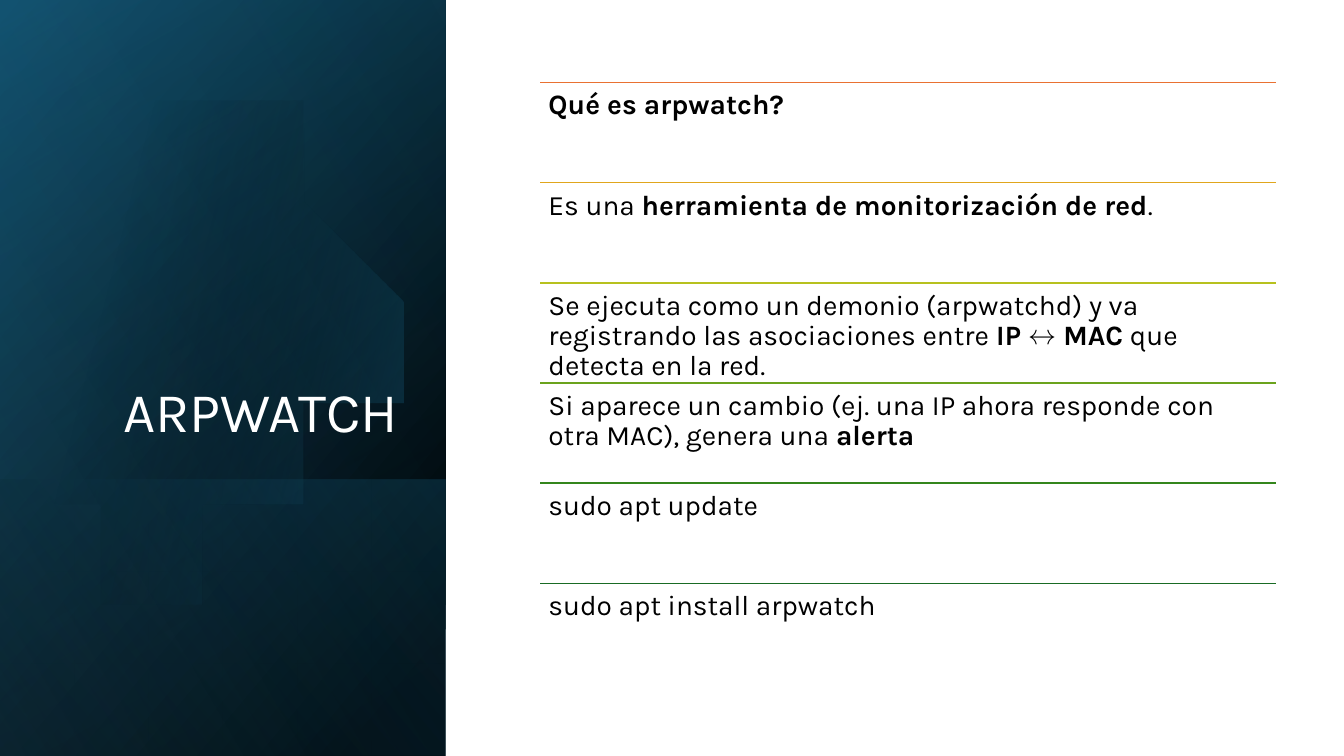
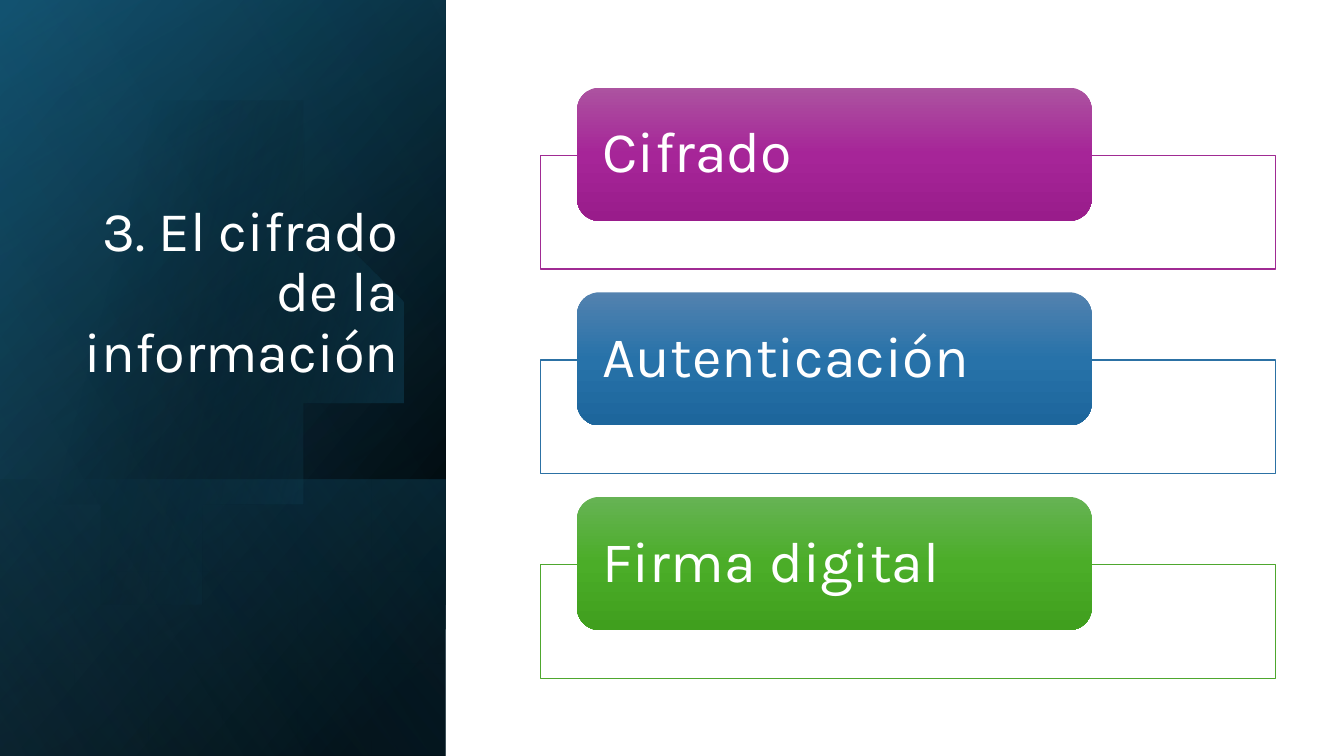
from lxml import etree
from pptx import Presentation
from pptx.dml.color import RGBColor
from pptx.enum.shapes import MSO_CONNECTOR, MSO_SHAPE
from pptx.enum.text import MSO_ANCHOR, PP_ALIGN
from pptx.oxml.ns import qn
from pptx.util import Inches, Pt

RECT = MSO_SHAPE.RECTANGLE
ROUNDED = MSO_SHAPE.ROUNDED_RECTANGLE
STRAIGHT = MSO_CONNECTOR.STRAIGHT
TOP, MIDDLE, BOTTOM = MSO_ANCHOR.TOP, MSO_ANCHOR.MIDDLE, MSO_ANCHOR.BOTTOM
LEFT, RIGHT = PP_ALIGN.LEFT, PP_ALIGN.RIGHT

FONT = "Karla"
WHITE, BLACK = "FFFFFF", "000000"
TEAL, NAVY, SKY = "156082", "104862", "46B1E1"
PANEL = (0, 0, 4.42, 7.5)
LINE_HEIGHT = 0.6

DISC_START = (1.49, 1.1)
DISC_SEGMENTS = [
    [(2.46, 1.12), (3.35, 1.77), (3.63, 2.75)],
    [(3.98, 3.97), (3.28, 5.23), (2.07, 5.58)],
    [(1.31, 5.8), (0.53, 5.61), (-0.03, 5.14)],
    [(-0.15, 5.03)],
    [(-0.15, 1.75)],
    [(0, 1.61)],
    [(0.23, 1.42), (0.5, 1.28), (0.8, 1.19)],
    [(1.03, 1.13), (1.26, 1.1), (1.49, 1.1)],
]

ROWS = [
    ("E97132", [("Qué es arpwatch?", True)]),
    ("E0A61D", [("Es una ", False),
                ("herramienta de monitorización de red", True), (".", False)]),
    ("B7C11E", [("Se ejecuta como un demonio (arpwatchd) y va registrando "
                 "las asociaciones entre ", False),
                ("IP ↔ MAC", True), (" que detecta en la red.", False)]),
    ("6BA31D", [("Si aparece un cambio (ej. una IP ahora responde con otra MAC), "
                 "genera una ", False), ("alerta", True)]),
    ("34861C", [("sudo apt update", False)]),
    ("196B24", [("sudo apt install arpwatch", False)]),
]

CARDS = [
    ("Cifrado", "A02B93", ("AC53A0", "A62598", "991C8B")),
    ("Autenticación", "2C71A4", ("5382AF", "2772A9", "1D669C")),
    ("Firma digital", "4EA72E", ("66B354", "4BAD28", "409F1E")),
]


def rgb(color):
    return RGBColor.from_string(color)


def inches(*values):
    return [Inches(v) for v in values]


def set_alpha(color_element, percent):
    alpha = etree.SubElement(color_element, qn("a:alpha"))
    alpha.set("val", str(percent * 1000))


def fill_gradient(shape, stops, angle):
    shape.fill.gradient()
    grad = shape._element.spPr.find(qn("a:gradFill"))
    for child in list(grad):
        grad.remove(child)
    grad.set("rotWithShape", "1")
    gs_list = etree.SubElement(grad, qn("a:gsLst"))
    for position, color, opacity in stops:
        gs = etree.SubElement(gs_list, qn("a:gs"), pos=str(position * 1000))
        clr = etree.SubElement(gs, qn("a:srgbClr"), val=color)
        if opacity < 100:
            set_alpha(clr, opacity)
    etree.SubElement(grad, qn("a:lin"), ang=str(angle * 60000), scaled="0")


def add_shape(s, kind, x, y, w, h):
    shape = s.shapes.add_shape(kind, *inches(x, y, w, h))
    shape.shadow.inherit = False
    shape.line.fill.background()
    return shape


def write_text(tf, runs, size, color, align=LEFT, anchor=TOP, insets=(0.1, 0.05)):
    tf.word_wrap = True
    tf.vertical_anchor = anchor
    tf.margin_left = tf.margin_right = Inches(insets[0])
    tf.margin_top = tf.margin_bottom = Inches(insets[1])
    p = tf.paragraphs[0]
    p.alignment = align
    p.line_spacing = 0.9
    for text, bold in runs:
        r = p.add_run()
        r.text = text
        r.font.name = FONT
        r.font.size = Pt(size)
        r.font.bold = bold
        r.font.color.rgb = rgb(color)


def add_panel_layer(s, box, stops, angle):
    x, y, w, h = box
    layer = add_shape(s, RECT, x + (w - h) / 2, y + (h - w) / 2, h, w)
    layer.rotation = 90
    layer._element.spPr.find(qn("a:xfrm")).set("flipH", "1")
    fill_gradient(layer, stops, angle)


def disc_points():
    start = DISC_START
    for segment in DISC_SEGMENTS:
        if len(segment) == 1:
            yield segment[0]
        else:
            points = [start] + segment
            for step in range(1, 25):
                t = step / 24
                weights = ((1 - t) ** 3, 3 * t * (1 - t) ** 2, 3 * t * t * (1 - t), t ** 3)
                yield tuple(sum(k * pt[axis] for k, pt in zip(weights, points))
                            for axis in (0, 1))
        start = segment[-1]


def add_disc(s, x, y):
    builder = s.shapes.build_freeform(x + DISC_START[0], y + DISC_START[1], scale=Inches(1))
    builder.add_line_segments([(x + px, y + py) for px, py in disc_points()], close=True)
    disc = builder.convert_to_shape()
    disc.shadow.inherit = False
    disc.line.fill.background()
    fill_gradient(disc, [(29, BLACK, 0), (100, TEAL, 43)], 14)


def add_title_panel(s, box, title, lines_below=0):
    x, y, w, h = box
    band = 2.74
    add_panel_layer(s, box, [(8, BLACK, 100), (100, NAVY, 100)], 50)
    add_panel_layer(s, box, [(0, BLACK, 0), (99, TEAL, 46)], 30)
    add_panel_layer(s, (x, y + h - band, w, band), [(2, TEAL, 29), (100, BLACK, 30)], 130)
    add_disc(s, x, y)
    add_panel_layer(s, box, [(0, BLACK, 0), (99, SKY, 11)], 120)
    height = 2.62 - lines_below * LINE_HEIGHT
    tb = s.shapes.add_textbox(*inches(x + 0.64, y + 1.84, 3.41, height))
    write_text(tb.text_frame, [(title, False)], 40, WHITE, align=RIGHT, anchor=BOTTOM)


def add_ruled_list(s, box, rows):
    x, y, w, h = box
    row_h = h / len(rows)
    for i, (color, runs) in enumerate(rows):
        top = y + i * row_h
        rule = s.shapes.add_connector(STRAIGHT, *inches(x, top, x + w, top))
        rule.line.color.rgb = rgb(color)
        rule.line.width = Pt(1)
        etree.SubElement(rule._element.spPr, qn("a:effectLst"))
        tb = s.shapes.add_textbox(*inches(x, top, w, row_h))
        write_text(tb.text_frame, runs, 20, BLACK, insets=(0.08, 0.08))


def add_card(s, box, label, outline, shades):
    x, y, w, h = box
    frame_h = 1.13
    frame = add_shape(s, RECT, x, y + h - frame_h, w, frame_h)
    frame.fill.solid()
    frame.fill.fore_color.rgb = rgb(WHITE)
    set_alpha(frame._element.spPr.find(qn("a:solidFill"))[0], 90)
    frame.line.color.rgb = rgb(outline)
    frame.line.width = Pt(1)
    tag = add_shape(s, ROUNDED, x + 0.05 * w, y, 0.7 * w, 1.32)
    fill_gradient(tag, [(50 * i, c, 100) for i, c in enumerate(shades)], 90)
    write_text(tag.text_frame, [(label, False)], 41, WHITE, anchor=MIDDLE, insets=(0.19, 0))


def add_card_stack(s, box, cards, gap=0.23):
    x, y, w, h = box
    pitch = (h + gap) / len(cards)
    for i, card in enumerate(cards):
        add_card(s, (x, y + i * pitch, w, pitch - gap), *card)


def add_slide(prs):
    s = prs.slides.add_slide(prs.slide_layouts[6])
    s.background.fill.solid()
    s.background.fill.fore_color.rgb = rgb(WHITE)
    return s


def main():
    prs = Presentation()
    prs.slide_width, prs.slide_height = inches(13.33, 7.5)

    s = add_slide(prs)
    add_title_panel(s, PANEL, "ARPWATCH")
    add_ruled_list(s, (5.36, 0.82, 7.3, 5.96), ROWS)

    s = add_slide(prs)
    add_title_panel(s, PANEL, "3. El cifrado de la información", lines_below=1)
    add_card_stack(s, (5.36, 0.87, 7.29, 5.86), CARDS)

    prs.save("out.pptx")


if __name__ == "__main__":
    main()
